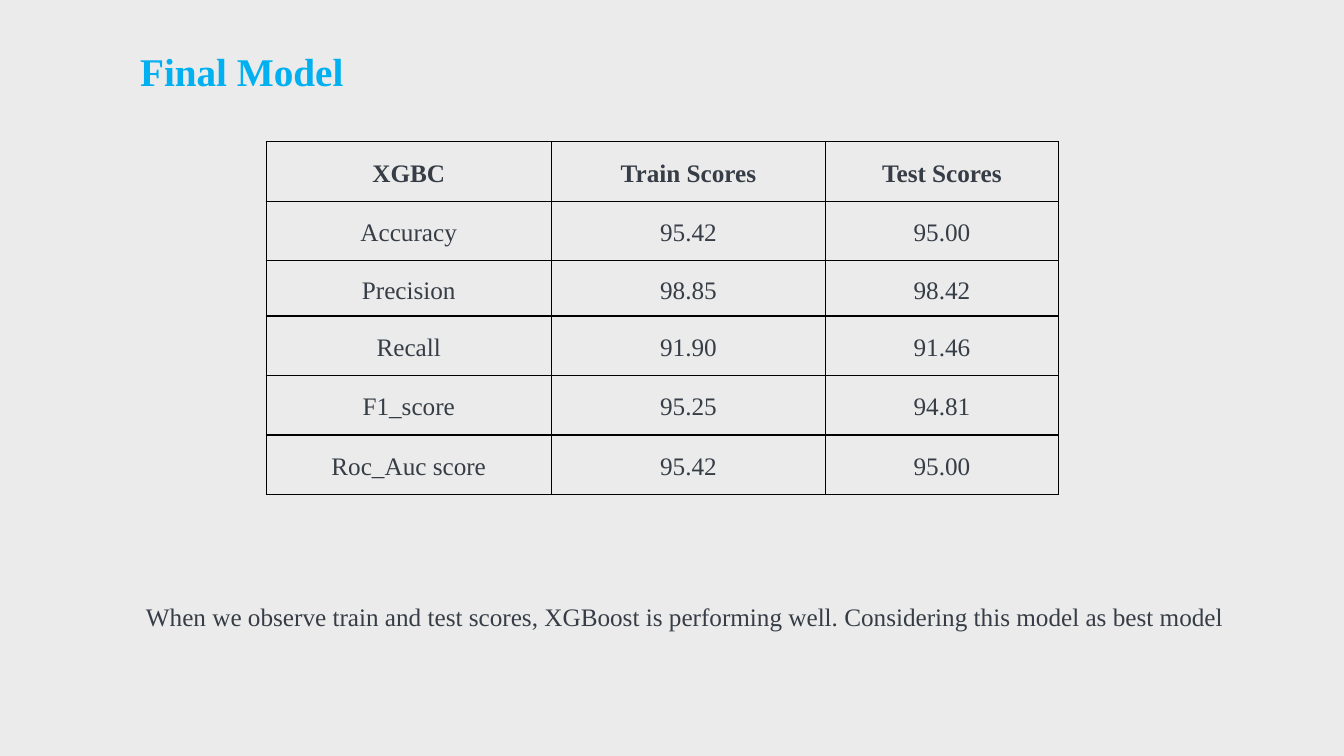
import pptx
import pptx.dml.color
import pptx.enum.text
import pptx.oxml.ns
import pptx.util
from lxml import etree

Pt = pptx.util.Pt
RGBColor = pptx.dml.color.RGBColor
ALIGN = pptx.enum.text.PP_ALIGN
ANCHOR = pptx.enum.text.MSO_ANCHOR
FIT = pptx.enum.text.MSO_AUTO_SIZE
qn = pptx.oxml.ns.qn

GREY = RGBColor(0xEB, 0xEB, 0xEB)
BLUE = RGBColor(0x00, 0xB0, 0xF0)
INK = RGBColor(0x36, 0x3D, 0x46)
BLACK = RGBColor(0x00, 0x00, 0x00)

SCORES = [
    ("XGBC", "Train Scores", "Test Scores"),
    ("Accuracy", "95.42", "95.00"),
    ("Precision", "98.85", "98.42"),
    ("Recall", "91.90", "91.46"),
    ("F1_score", "95.25", "94.81"),
    ("Roc_Auc score", "95.42", "95.00"),
]
WIDTHS = (203.76, 195.84, 166.32)
HEIGHTS = (42.5, 42.5, 39.6, 42.5, 42.5, 42.5)


class Page:
    font = "Times New Roman"
    size = 18

    def __init__(self, deck):
        self.slide = deck.slides.add_slide(deck.slide_layouts[5])
        fill = self.slide.background.fill
        fill.solid()
        fill.fore_color.rgb = GREY

    def style(self, para, size=size, color=INK, bold=False):
        for run in para.runs:
            run.font.name = self.font
            run.font.size = Pt(size)
            run.font.color.rgb = color
            run.font.bold = bold

    def place(self, shape, left, top, width, height):
        shape.left, shape.top = Pt(left), Pt(top)
        shape.width, shape.height = Pt(width), Pt(height)

    def label(self, shape, text, **look):
        frame = shape.text_frame
        frame.text = text
        frame.word_wrap = True
        frame.auto_size = FIT.SHAPE_TO_FIT_TEXT
        frame.vertical_anchor = ANCHOR.TOP
        para = frame.paragraphs[0]
        para.alignment = ALIGN.LEFT
        self.style(para, **look)

    def title(self, text, *box):
        shape = self.slide.shapes.title
        self.place(shape, *box)
        self.label(shape, text, size=28, color=BLUE, bold=True)

    def note(self, text, *box):
        shape = self.slide.shapes.add_textbox(*map(Pt, box))
        self.label(shape, text)

    def border(self, cell):
        props = cell._tc.get_or_add_tcPr()
        for side in ("a:lnL", "a:lnR", "a:lnT", "a:lnB"):
            line = etree.SubElement(props, qn(side), w=str(Pt(1)))
            fill = etree.SubElement(line, qn("a:solidFill"))
            etree.SubElement(fill, qn("a:srgbClr"), val=str(BLACK))

    def cell(self, cell, text, bold):
        cell.text_frame.text = text
        cell.vertical_anchor = ANCHOR.MIDDLE
        cell.margin_left = cell.margin_right = Pt(5)
        cell.margin_top = cell.margin_bottom = Pt(0)
        para = cell.text_frame.paragraphs[0]
        para.alignment = ALIGN.CENTER
        para.line_spacing = 1.15
        self.style(para, bold=bold)
        self.border(cell)
        cell.fill.background()

    def table(self, rows, widths, heights, left, top):
        box = (left, top, sum(widths), sum(heights))
        shape = self.slide.shapes.add_table(
            len(rows), len(widths), *map(Pt, box))
        grid = shape.table
        grid.horz_banding = False
        for col, width in zip(grid.columns, widths):
            col.width = Pt(width)
        for row, height in zip(grid.rows, heights):
            row.height = Pt(height)
        for r, row in enumerate(rows):
            for c, text in enumerate(row):
                self.cell(grid.cell(r, c), text, bold=r == 0)


def main():
    deck = pptx.Presentation()
    deck.slide_width, deck.slide_height = Pt(960), Pt(540)
    page = Page(deck)
    page.title("Final Model", 92.9, 30.2, 771.8, 41)
    page.note("When we observe train and test scores, XGBoost is performing "
              "well. Considering this model as best model",
              97.2, 426.2, 804.2, 28.8)
    page.table(SCORES, WIDTHS, HEIGHTS, 190.1, 101.2)
    deck.save("out.pptx")


if __name__ == "__main__":
    main()
